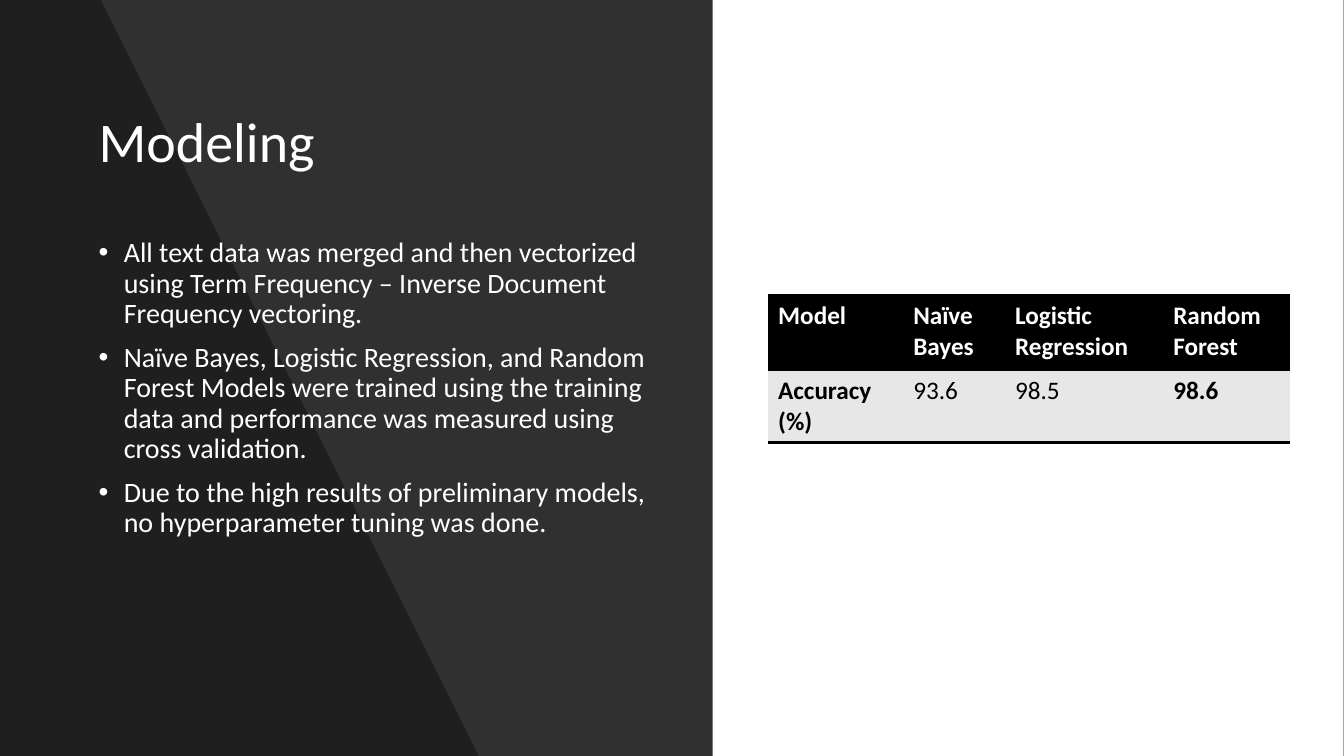
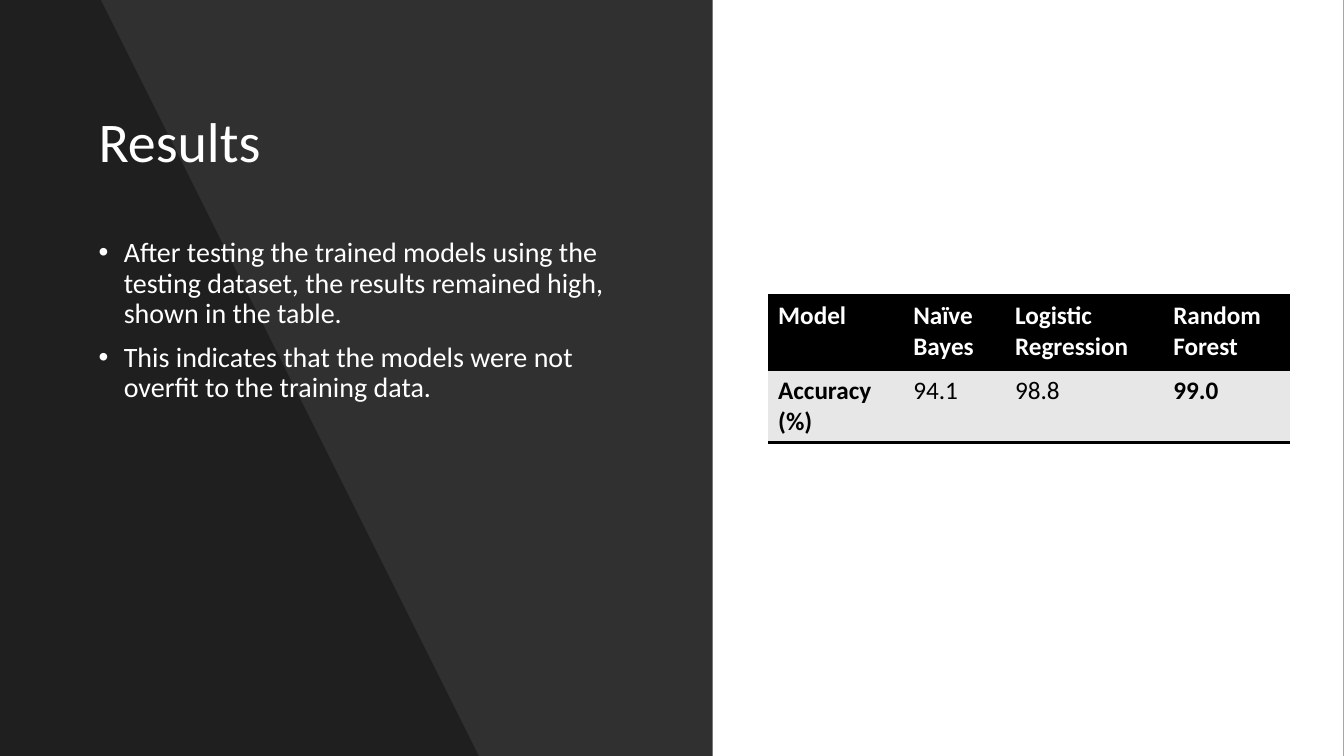
from lxml import etree
from pptx import Presentation
from pptx.dml.color import RGBColor
from pptx.enum.shapes import MSO_SHAPE
from pptx.enum.text import MSO_ANCHOR
from pptx.oxml.ns import qn
from pptx.util import Inches, Pt

RECTANGLE = MSO_SHAPE.RECTANGLE
MIDDLE, TOP = MSO_ANCHOR.MIDDLE, MSO_ANCHOR.TOP

BLACK = RGBColor(0x00, 0x00, 0x00)
WHITE = RGBColor(0xFF, 0xFF, 0xFF)
ROW_GRAY = RGBColor(0xE7, 0xE7, 0xE7)

FONT = "Calibri"
SLIDE_W, SLIDE_H = 13.33, 7.5
PANEL_W = 7.07
TEXT_LEFT, TEXT_W = 0.88, 5.64
INDENT = 0.25

TABLE_LEFT, TABLE_TOP = 7.62, 2.93
COLUMN_WIDTHS = (1.34, 1.01, 1.57, 1.26)
ROW_HEIGHTS = (0.75, 0.71)
BORDER_PT = 2
TABLE_HEADER = ("Model", "Naïve Bayes", "Logistic Regression", "Random Forest")

# Title, bullets and accuracy row of each slide
SLIDES = (
    (
        "Modeling",
        (
            "All text data was merged and then vectorized using Term Frequency – "
            "Inverse Document Frequency vectoring.",
            "Naïve Bayes, Logistic Regression, and Random Forest Models were trained "
            "using the training data and performance was measured using cross validation.",
            "Due to the high results of preliminary models, no hyperparameter tuning "
            "was done.",
        ),
        ("93.6", "98.5", "98.6"),
    ),
    (
        "Results",
        (
            "After testing the trained models using the testing dataset, the results "
            "remained high, shown in the table.",
            "This indicates that the models were not overfit to the training data.",
        ),
        ("94.1", "98.8", "99.0"),
    ),
)


def set_font(paragraph, **formats):
    for name, value in {"name": FONT, **formats}.items():
        if name == "color":
            paragraph.font.color.rgb = value
        else:
            setattr(paragraph.font, name, value)


def paint(shape, color, opacity=100):
    """Fill a shape without outline or shadow; opacity is in percent."""
    shape.shadow.inherit = False
    shape.line.fill.background()
    shape.fill.solid()
    shape.fill.fore_color.rgb = color
    if opacity < 100:
        tint = shape.fill._xPr.find(".//" + qn("a:srgbClr"))
        etree.SubElement(tint, qn("a:alpha"), val=str(opacity * 1000))


def add_backdrop(slide):
    slide.background.fill.solid()
    slide.background.fill.fore_color.rgb = BLACK

    # White page with the dark panel on its left
    for width, color, opacity in ((SLIDE_W, WHITE, 100), (PANEL_W, BLACK, 81)):
        band = slide.shapes.add_shape(
            RECTANGLE, 0, 0, Inches(width), Inches(SLIDE_H))
        paint(band, color, opacity)

    # Slanted shade over the panel
    outline = slide.shapes.build_freeform(0, 0, scale=Inches(1))
    outline.add_line_segments(((1.32, 0), (4.97, SLIDE_H), (0, SLIDE_H)), close=True)
    paint(outline.convert_to_shape(), BLACK, 35)


def add_text(slide, top, height, lines, size, anchor=TOP, bulleted=False):
    box = slide.shapes.add_textbox(
        Inches(TEXT_LEFT), Inches(top), Inches(TEXT_W), Inches(height))
    frame = box.text_frame
    frame.word_wrap = True
    frame.vertical_anchor = anchor
    for index, line in enumerate(lines):
        paragraph = frame.add_paragraph() if index else frame.paragraphs[0]
        paragraph.text = line
        paragraph.line_spacing = 0.9
        if index:
            paragraph.space_before = Pt(10)
        if bulleted:
            add_bullet(paragraph)
        set_font(paragraph, size=Pt(size), color=WHITE)


def add_bullet(paragraph):
    properties = paragraph._p.get_or_add_pPr()
    properties.set("marL", str(Inches(INDENT)))
    properties.set("indent", str(-Inches(INDENT)))
    etree.SubElement(properties, qn("a:buFont"), typeface="Arial")
    etree.SubElement(properties, qn("a:buChar"), char="•")


def set_borders(cell, ruled_side):
    """Draw one black rule on the cell and clear its other sides."""
    properties = cell._tc.get_or_add_tcPr()
    for side in ("lnL", "lnR", "lnT", "lnB"):
        border = etree.SubElement(properties, qn("a:" + side), w=str(Pt(BORDER_PT)))
        if side == ruled_side:
            fill = etree.SubElement(border, qn("a:solidFill"))
            etree.SubElement(fill, qn("a:srgbClr"), val=str(BLACK))
        else:
            etree.SubElement(border, qn("a:noFill"))


def add_accuracy_table(slide, scores):
    rows = (TABLE_HEADER, ("Accuracy (%)", *scores))
    table = slide.shapes.add_table(
        len(rows), len(TABLE_HEADER), Inches(TABLE_LEFT), Inches(TABLE_TOP),
        Inches(sum(COLUMN_WIDTHS)), Inches(sum(ROW_HEIGHTS))).table
    table.first_row = table.horz_banding = False
    for column, width in zip(table.columns, COLUMN_WIDTHS):
        column.width = Inches(width)
    for row, height in zip(table.rows, ROW_HEIGHTS):
        row.height = Inches(height)

    best = scores.index(max(scores, key=float)) + 1
    for r, texts in enumerate(rows):
        is_header = r == 0
        for c, text in enumerate(texts):
            cell = table.cell(r, c)
            cell.text = text
            set_borders(cell, "lnT" if is_header else "lnB")
            cell.fill.solid()
            cell.fill.fore_color.rgb = BLACK if is_header else ROW_GRAY
            set_font(cell.text_frame.paragraphs[0], size=Pt(18),
                     bold=is_header or c in (0, best),
                     color=WHITE if is_header else BLACK)


def main():
    deck = Presentation()
    deck.slide_width, deck.slide_height = Inches(13.333), Inches(SLIDE_H)
    blank = deck.slide_layouts[6]
    for title, bullets, scores in SLIDES:
        slide = deck.slides.add_slide(blank)
        add_backdrop(slide)
        add_text(slide, 0.7, 1.47, (title,), 40, anchor=MIDDLE)
        add_text(slide, 2.32, 4.13, bullets, 20, bulleted=True)
        add_accuracy_table(slide, scores)
    deck.save("out.pptx")


if __name__ == "__main__":
    main()
